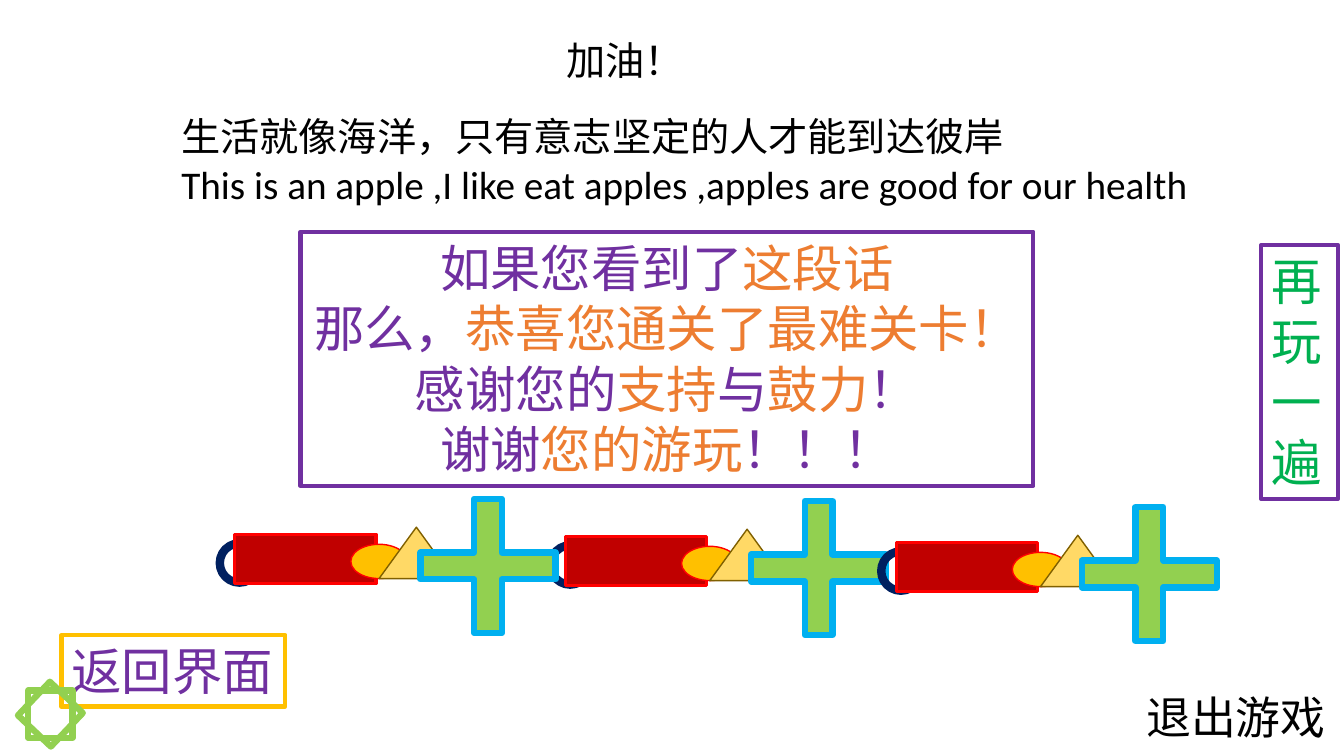
import pptx
import pptx.util
import pptx.dml.color
import pptx.enum.shapes
import pptx.enum.text

RGBColor = pptx.dml.color.RGBColor
MSO_SHAPE = pptx.enum.shapes.MSO_SHAPE
PP_ALIGN = pptx.enum.text.PP_ALIGN

BLACK = RGBColor(0x00, 0x00, 0x00)
WHITE = RGBColor(0xFF, 0xFF, 0xFF)
PURPLE = RGBColor(0x70, 0x30, 0xA0)
ORANGE = RGBColor(0xED, 0x7D, 0x31)
GREEN = RGBColor(0x00, 0xB0, 0x50)
LIME = RGBColor(0x92, 0xD0, 0x50)
GOLD = RGBColor(0xFF, 0xC0, 0x00)
SAND = RGBColor(0xFF, 0xD9, 0x66)
OLIVE = RGBColor(0x80, 0x60, 0x00)
NAVY = RGBColor(0x00, 0x20, 0x60)
DARK_RED = RGBColor(0xC0, 0x00, 0x00)
RED = RGBColor(0xFF, 0x00, 0x00)
SKY = RGBColor(0x00, 0xB0, 0xF0)

EMU_PER_PX = 9144
WIDTH, HEIGHT = 1333, 750


class SlideBuilder:
    """Draw styled shapes and text on one slide, measured in px."""

    font = "Calibri"

    def __init__(self, prs):
        self.slide = prs.slides.add_slide(prs.slide_layouts[6])

    def px(self, *lengths):
        return [pptx.util.Emu(n * EMU_PER_PX) for n in lengths]

    def shape(self, kind, box, line, weight, fill=None, rotation=0):
        s = self.slide.shapes.add_shape(kind, *self.px(*box))
        s.shadow.inherit = False
        s.rotation = rotation
        if fill is None:
            s.fill.background()
        else:
            s.fill.solid()
            s.fill.fore_color.rgb = fill
        s.line.color.rgb = line
        s.line.width = pptx.util.Pt(weight)
        return s

    def set_lines(self, s, lines, size, wrap, align):
        tf = s.text_frame
        tf.word_wrap = wrap
        tf.auto_size = pptx.enum.text.MSO_AUTO_SIZE.SHAPE_TO_FIT_TEXT
        tf.vertical_anchor = pptx.enum.text.MSO_ANCHOR.TOP
        for i, line in enumerate(lines):
            p = tf.add_paragraph() if i else tf.paragraphs[0]
            p.alignment = align
            for text, color in line:
                r = p.add_run()
                r.text = text
                r.font.name = self.font
                r.font.size = pptx.util.Pt(size)
                r.font.color.rgb = color

    def text(self, box, lines, size=28, wrap=True):
        s = self.slide.shapes.add_textbox(*self.px(*box))
        self.set_lines(s, [[(line, BLACK)] for line in lines], size, wrap, PP_ALIGN.LEFT)

    def panel(self, box, border, lines, wrap=False, align=PP_ALIGN.LEFT):
        s = self.shape(MSO_SHAPE.RECTANGLE, box, border, 3, WHITE)
        self.set_lines(s, lines, 36, wrap, align)

    def firecracker(self, x, y):
        self.shape(MSO_SHAPE.OVAL, (x, y, 39, 39), NAVY, 6)
        self.shape(MSO_SHAPE.RECTANGLE, (x + 15, y - 9, 140, 49), RED, 2.25, DARK_RED)
        self.shape(MSO_SHAPE.OVAL, (x + 130, y + 1, 56, 34), RED, 1, GOLD)
        self.shape(MSO_SHAPE.ISOSCELES_TRIANGLE, (x + 158, y - 16, 74, 51), OLIVE, 1, SAND)
        s = self.shape(MSO_SHAPE.CROSS, (x + 199, y - 44, 134, 133), SKY, 4.5, LIME)
        s.adjustments[0] = 0.4

    def star(self):
        self.shape(MSO_SHAPE.RECTANGLE, (27, 686, 46, 45), LIME, 4.5, rotation=313.5)
        self.shape(MSO_SHAPE.RECTANGLE, (28, 685, 44, 47), LIME, 4.5)


def main():
    prs = pptx.Presentation()
    prs.slide_width, prs.slide_height = (
        pptx.util.Emu(n * EMU_PER_PX) for n in (WIDTH, HEIGHT))
    b = SlideBuilder(prs)
    b.panel((298, 230, 727, 252), PURPLE, [
        [("如果您看到了", PURPLE), ("这段话", ORANGE)],
        [("那么，", PURPLE), ("恭喜您通关了最难关卡！", ORANGE)],
        [("感谢您的", PURPLE), ("支持", ORANGE), ("与", PURPLE),
         ("鼓力", ORANGE), ("！", PURPLE)],
        [("谢谢", PURPLE), ("您的游玩", ORANGE), ("！！！", PURPLE)],
    ], align=PP_ALIGN.CENTER)
    b.panel((61, 630, 222, 71), GOLD, [[("返回界面", PURPLE)]])
    b.panel((1251, 243, 76, 252), PURPLE, [[("再玩一遍", GREEN)]], wrap=True)
    b.text((552, 31, 647, 57), ["加油！"])
    b.text((170, 107, 1029, 104), [
        "生活就像海洋，只有意志坚定的人才能到达彼岸",
        "This is an apple ,I like eat apples ,apples are good for our health",
    ])
    b.firecracker(546, 541)
    b.star()
    b.text((1127, 679, 200, 64), ["退出游戏"], size=32, wrap=False)
    b.firecracker(218, 539)
    b.firecracker(874, 547)
    prs.save("out.pptx")


if __name__ == "__main__":
    main()
